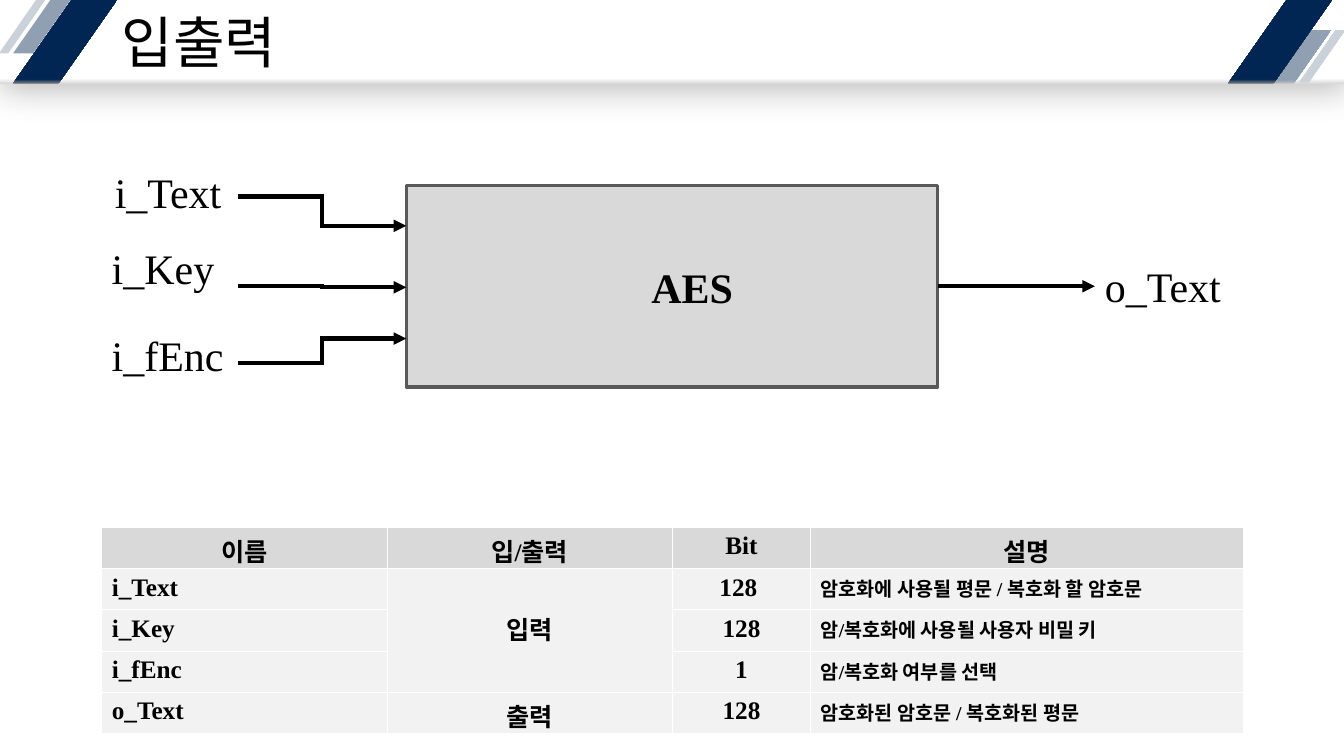
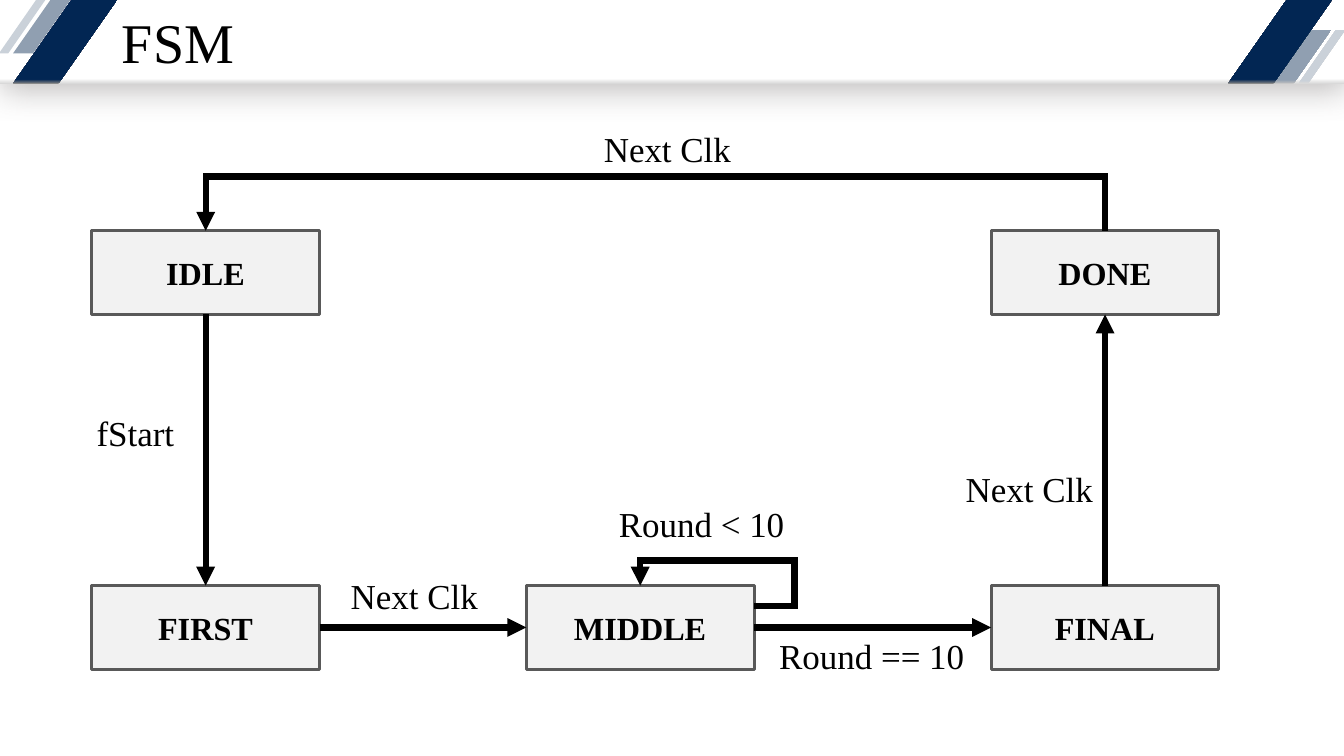
import lxml.etree
import pptx
import pptx.dml.color
import pptx.enum.dml
import pptx.enum.shapes
import pptx.enum.text
import pptx.oxml.ns
import pptx.util

Inches = pptx.util.Inches
Pt = pptx.util.Pt
ALIGN = pptx.enum.text.PP_ALIGN
ANCHOR = pptx.enum.text.MSO_ANCHOR
SHAPE = pptx.enum.shapes.MSO_SHAPE
CONNECTOR = pptx.enum.shapes.MSO_CONNECTOR

FONT = "Times New Roman"
BLACK, WHITE, NAVY = "000000", "FFFFFF", "022653"
DARK_GREY, MID_GREY, LIGHT_GREY = "595959", "D9D9D9", "F2F2F2"
STEEL, PALE_STEEL = "909FB1", "CAD1D9"
SLIDE_WIDTH, SLIDE_HEIGHT, BAND_HEIGHT = 13.33, 7.5, 0.83
TOP, LEFT, BOTTOM, RIGHT = range(4)

# left, top, width, height, slant, colour, colour and extent of the lower edge
STRIPES = [
    (0.13, 0, 0.57, 0.53, 0.7, STEEL, None),
    (0.13, 0, 1.03, 0.83, 0.7, NAVY, ("808080", 0.05)),
    (-0.01, 0, 0.46, 0.53, 0.8, PALE_STEEL, None),
    (12.63, 0.3, 0.57, 0.53, 0.7, STEEL, ("BFBFBF", 0.07)),
    (12.18, 0, 1.03, 0.83, 0.7, NAVY, ("808080", 0.05)),
    (12.88, 0.3, 0.46, 0.53, 0.8, PALE_STEEL, (MID_GREY, 0.06)),
]

SIGNALS = [
    ("이름", "입/출력", "Bit", "설명"),
    ("i_Text", "입력", "128 ", "암호화에 사용될 평문 / 복호화 할 암호문"),
    ("i_Key", "", "128", "암/복호화에 사용될 사용자 비밀 키"),
    ("i_fEnc", "", "1", "암/복호화 여부를 선택"),
    ("o_Text", "출력", "128", "암호화된 암호문 / 복호화된 평문"),
]
SIGNAL_COLUMNS = [2.83, 2.83, 1.37, 4.29]

STATE_WIDTH, STATE_HEIGHT = 2.26, 0.83
STATES = {
    "IDLE": (0.91, 2.29),
    "FIRST": (0.91, 5.81),
    "MIDDLE": (5.22, 5.81),
    "DONE": (9.83, 2.29),
    "FINAL": (9.83, 5.81),
}
TRANSITIONS = [
    ("IDLE", BOTTOM, "FIRST", TOP),
    ("FIRST", RIGHT, "MIDDLE", LEFT),
    ("MIDDLE", RIGHT, "FINAL", LEFT),
    ("FINAL", TOP, "DONE", BOTTOM),
]
CONDITIONS = [
    ("fStart", 0.86, 4.03, 0.98),
    ("Round < 10", 6.04, 4.94, 1.86),
    ("Round == 10", 7.63, 6.25, 2.06),
    ("Next Clk", 9.48, 4.59, 1.48),
    ("Next Clk", 5.89, 1.22, 1.48),
    ("Next Clk", 3.38, 5.65, 1.48),
]


def rgb(value):
    return pptx.dml.color.RGBColor.from_string(value)


def add_xml(parent, tag, **attributes):
    return lxml.etree.SubElement(parent, pptx.oxml.ns.qn(tag), attributes)


def write(frame, text, size=18, bold=False, align=ALIGN.LEFT, spacing=None):
    para = frame.paragraphs[0]
    para.alignment = align
    para.line_spacing = spacing
    span = para.add_run()
    span.text = text
    span.font.name = FONT
    span.font.size = Pt(size)
    span.font.bold = bold
    span.font.color.rgb = rgb(BLACK)


def set_insets(frame, left, top, right, bottom):
    frame.margin_left, frame.margin_top = Inches(left), Inches(top)
    frame.margin_right, frame.margin_bottom = Inches(right), Inches(bottom)


def add_block(slide, kind, left, top, width, height, colour, edge=None):
    """Add a borderless shape; edge is the colour and extent of a fade at its foot."""
    shape = slide.shapes.add_shape(
        kind, Inches(left), Inches(top), Inches(width), Inches(height))
    shape.shadow.inherit = False
    shape.line.fill.background()
    if edge is None:
        shape.fill.solid()
        shape.fill.fore_color.rgb = rgb(colour)
    else:
        shape.fill.gradient()
        shape.fill.gradient_angle = 90
        stops = zip(shape.fill.gradient_stops, (edge[0], colour), (0, edge[1]))
        for stop, stop_colour, position in stops:
            stop.color.rgb = rgb(stop_colour)
            stop.position = position
    return shape


def add_band_shadow(band):
    effects = band._element.spPr.find(pptx.oxml.ns.qn("a:effectLst"))
    shadow = add_xml(effects, "a:outerShdw", blurRad=str(Pt(24)), dist=str(Pt(3)),
                     dir=str(80 * 60000), algn="t", rotWithShape="0")
    colour = add_xml(shadow, "a:srgbClr", val="767171")
    add_xml(colour, "a:alpha", val="50000")


def put_band_on_layout(slide):
    """Draw the top band and its stripes, then hand them to the slide's layout."""
    band = add_block(slide, SHAPE.RECTANGLE, 0, 0, SLIDE_WIDTH, BAND_HEIGHT,
                     WHITE, (MID_GREY, 0.06))
    add_band_shadow(band)
    parts = [band]
    for left, top, width, height, slant, colour, edge in STRIPES:
        stripe = add_block(slide, SHAPE.PARALLELOGRAM, left, top, width, height,
                           colour, edge)
        stripe.adjustments[0] = slant
        parts.append(stripe)
    tree = slide.slide_layout.shapes._spTree
    for number, part in enumerate(parts):
        part._element.nvSpPr.cNvPr.set("id", str(100 + number))
        tree.insert(2 + number, part._element)


def add_titled_slide(deck, title):
    slide = deck.slides.add_slide(deck.slide_layouts[5])
    box = slide.shapes.title
    box.left, box.top = Inches(0.15), Inches(0)
    box.width, box.height = Inches(8.76), Inches(BAND_HEIGHT)
    frame = box.text_frame
    frame.auto_size = pptx.enum.text.MSO_AUTO_SIZE.NONE
    frame.vertical_anchor = ANCHOR.MIDDLE
    set_insets(frame, 1.06, 0.12, 1.06, 0.04)
    write(frame, title, size=40, spacing=0.9)
    return slide


def add_box(slide, text, left, top, width, height, colour, size):
    box = add_block(slide, SHAPE.RECTANGLE, left, top, width, height, colour)
    box.line.color.rgb = rgb(DARK_GREY)
    box.line.width = Pt(2.25)
    box.text_frame.vertical_anchor = ANCHOR.MIDDLE
    write(box.text_frame, text, size=size, bold=True, align=ALIGN.CENTER)
    return box


def add_label(slide, text, left, top, width, size):
    height = 0.1 + size * 0.017
    box = slide.shapes.add_textbox(
        Inches(left), Inches(top), Inches(width), Inches(height))
    box.text_frame.word_wrap = False
    box.text_frame.auto_size = pptx.enum.text.MSO_AUTO_SIZE.SHAPE_TO_FIT_TEXT
    write(box.text_frame, text, size=size)


def style_arrow(arrow, weight):
    arrow.line.color.rgb = rgb(BLACK)
    arrow.line.width = Pt(weight)
    outline = arrow.line._get_or_add_ln()
    add_xml(outline, "a:miter", lim="800000")
    add_xml(outline, "a:tailEnd", type="triangle")


def add_arrow(slide, start, end, weight, kind=CONNECTOR.STRAIGHT):
    arrow = slide.shapes.add_connector(kind, *map(Inches, start + end))
    style_arrow(arrow, weight)
    add_xml(arrow._element.spPr, "a:effectLst")
    return arrow


def add_route(slide, points, weight):
    """Add an arrow that turns at each of the points."""
    start, *turns = [(Inches(x), Inches(y)) for x, y in points]
    builder = slide.shapes.build_freeform(*start)
    builder.add_line_segments(turns, close=False)
    route = builder.convert_to_shape()
    route.fill.background()
    style_arrow(route, weight)
    route.shadow.inherit = False


def add_signal_table(slide):
    row_height = 0.41
    table = slide.shapes.add_table(
        len(SIGNALS), len(SIGNAL_COLUMNS), Inches(1.01), Inches(5.23),
        Inches(sum(SIGNAL_COLUMNS)), Inches(row_height * len(SIGNALS))).table
    table.horz_banding = False
    for column, width in zip(table.columns, SIGNAL_COLUMNS):
        column.width = Inches(width)
    for row in table.rows:
        row.height = Inches(row_height)
    table.cell(1, 1).merge(table.cell(3, 1))
    for row, texts in enumerate(SIGNALS):
        for column, text in enumerate(texts):
            cell = table.cell(row, column)
            cell.fill.solid()
            cell.fill.fore_color.rgb = rgb(LIGHT_GREY if row else MID_GREY)
            if not text:
                continue
            centred = row == 0 or column in (1, 2)
            write(cell.text_frame, text, bold=True,
                  size=14 if row and column == 3 else 18,
                  align=ALIGN.CENTER if centred else ALIGN.LEFT,
                  spacing=2.0 if cell.is_merge_origin else None)


def build_ports_slide(deck):
    slide = add_titled_slide(deck, "입출력")
    put_band_on_layout(slide)
    core = add_box(slide, "AES", 4.03, 1.84, 5.27, 2, MID_GREY, 30)
    set_insets(core.text_frame, 0.5, 0.05, 0.1, 0.05)
    for start, end in [(1.95, 2.24), (2.84, 2.85), (3.6, 3.36)]:
        add_arrow(slide, (2.36, start), (4.03, end), 3, CONNECTOR.ELBOW)
    output = add_arrow(slide, (9.3, 2.84), (10.86, 2.84), 3)
    output.begin_connect(core, RIGHT)
    for text, left, top, width in [("i_Text", 1.04, 1.6, 1.27),
                                   ("i_Key", 1.01, 2.36, 1.23),
                                   ("i_fEnc", 1.01, 3.22, 1.33),
                                   ("o_Text", 10.86, 2.54, 1.37)]:
        add_label(slide, text, left, top, width, 30)
    add_signal_table(slide)


def build_states_slide(deck):
    slide = add_titled_slide(deck, "FSM")
    boxes = {name: add_box(slide, name, left, top, STATE_WIDTH, STATE_HEIGHT,
                           LIGHT_GREY, 23)
             for name, (left, top) in STATES.items()}
    for source, source_side, target, target_side in TRANSITIONS:
        arrow = add_arrow(slide, STATES[source], STATES[target], 4.5)
        arrow.begin_connect(boxes[source], source_side)
        arrow.end_connect(boxes[target], target_side)

    idle_left, top = STATES["IDLE"]
    idle_middle = idle_left + STATE_WIDTH / 2
    done_middle = STATES["DONE"][0] + STATE_WIDTH / 2
    add_route(slide, [(done_middle, top), (done_middle, 1.75),
                      (idle_middle, 1.75), (idle_middle, top)], 4.5)

    left, top = STATES["MIDDLE"]
    middle, right = left + STATE_WIDTH / 2, left + STATE_WIDTH
    add_route(slide, [(right, top + 0.2), (right + 0.4, top + 0.2),
                      (right + 0.4, top - 0.25), (middle, top - 0.25),
                      (middle, top)], 4.5)
    for condition in CONDITIONS:
        add_label(slide, *condition, 25)


def main():
    deck = pptx.Presentation()
    deck.slide_width = Inches(SLIDE_WIDTH)
    deck.slide_height = Inches(SLIDE_HEIGHT)
    build_ports_slide(deck)
    build_states_slide(deck)
    deck.save("out.pptx")


if __name__ == "__main__":
    main()
